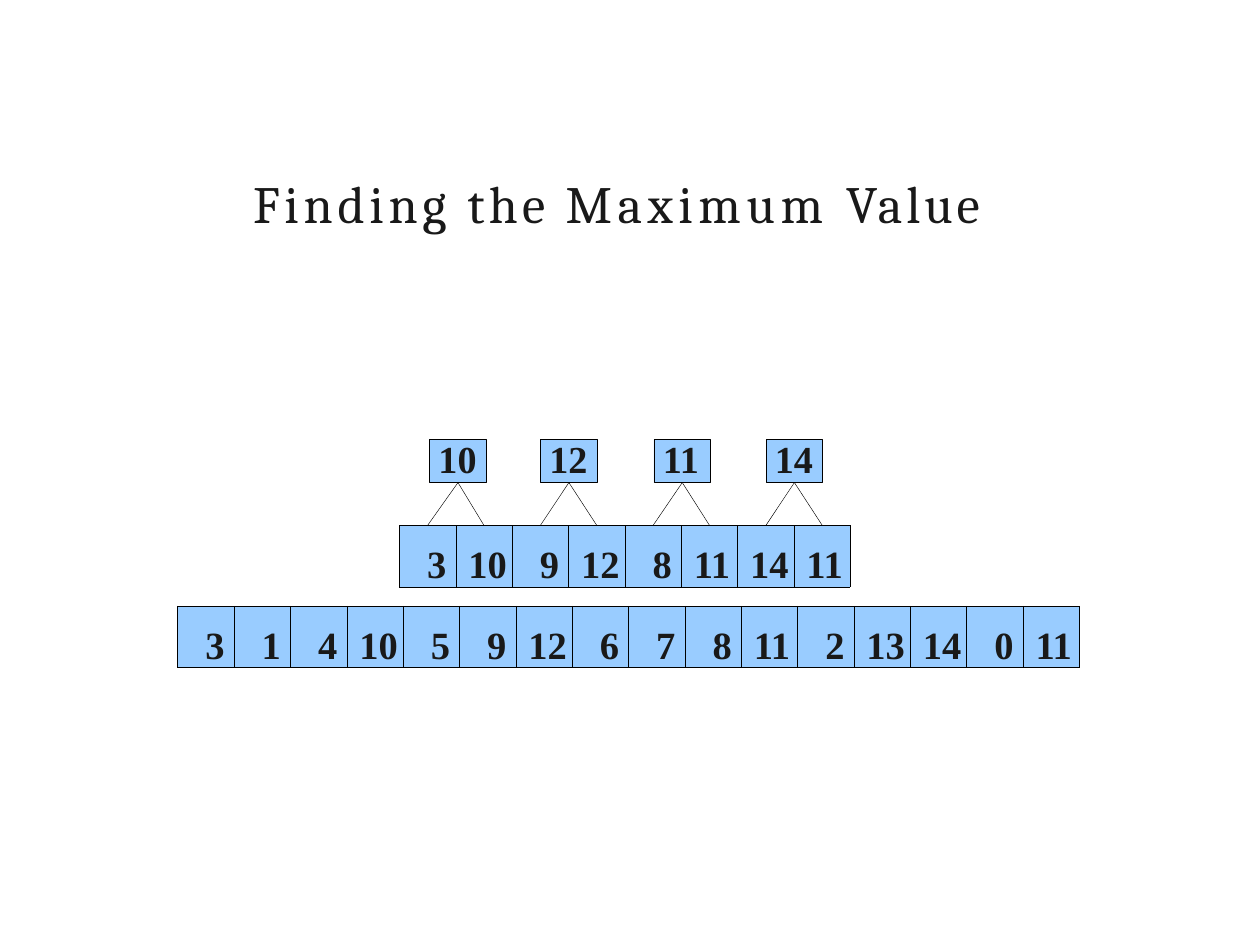
from lxml.etree import SubElement
from pptx import Presentation
from pptx.dml.color import RGBColor
from pptx.enum.shapes import MSO_CONNECTOR, MSO_SHAPE
from pptx.enum.text import MSO_ANCHOR, MSO_AUTO_SIZE, PP_ALIGN
from pptx.oxml import parse_xml
from pptx.oxml.ns import nsdecls, qn
from pptx.util import Inches, Pt

INK = RGBColor(0x19, 0x19, 0x19)
SKY = RGBColor(0x99, 0xCC, 0xFF)
BLACK = RGBColor(0x00, 0x00, 0x00)
CELL_WIDTH = 7.16 / 16
HAIRLINE = Pt(0.25)
TITLE_WORDS = [("Finding ", 270), ("the ", 250), ("Maximum ", 320), ("Value", 220)]
VALUES = [3, 1, 4, 10, 5, 9, 12, 6, 7, 8, 11, 2, 13, 14, 0, 11]
PAIR_LEFTS = [3.41, 4.29, 5.19, 6.08]


class TournamentSlide:
    """Draws arrays and tournament winners in one style on one slide."""

    def __init__(self, slide):
        self.slide = slide

    def prepare(self, frame):
        frame.margin_left = frame.margin_right = 0
        frame.margin_top = frame.margin_bottom = 0
        frame.vertical_anchor = MSO_ANCHOR.TOP
        frame.word_wrap = True

    def title(self, words):
        heading = self.slide.shapes.title
        heading.left, heading.top = Inches(2.01), Inches(1.35)
        heading.width, heading.height = Inches(5.97), Inches(0.51)
        frame = heading.text_frame
        self.prepare(frame)
        frame.margin_top = Inches(0.01)
        frame.auto_size = MSO_AUTO_SIZE.SHAPE_TO_FIT_TEXT
        paragraph = frame.paragraphs[0]
        paragraph.alignment = PP_ALIGN.LEFT
        for word, spacing in words:
            run = paragraph.add_run()
            run.text = word
            run.font.name, run.font.size = "Cambria", Pt(29.9)
            run.font.color.rgb = INK
            run.font._element.set("spc", str(spacing))

    def number(self, frame, value, indent, size, spacing):
        paragraph = frame.paragraphs[0]
        paragraph.text = str(value)
        paragraph.alignment = PP_ALIGN.LEFT
        paragraph.line_spacing = Pt(spacing)
        paragraph._p.get_or_add_pPr().set("marL", str(Inches(indent)))
        font = paragraph.runs[0].font
        font.name, font.size, font.bold = "Times New Roman", Pt(size), True
        font.color.rgb = INK

    def array(self, left, top, values):
        table = self.slide.shapes.add_table(
            1, len(values), Inches(left), Inches(top),
            Inches(CELL_WIDTH * len(values)), Inches(0.44)).table
        table.first_row = table.horz_banding = False
        for column, value in enumerate(values):
            table.columns[column].width = Inches(CELL_WIDTH)
            cell = table.cell(0, column)
            cell.margin_left = cell.margin_right = 0
            cell.margin_top = cell.margin_bottom = 0
            self.borders(cell)
            cell.fill.solid()
            cell.fill.fore_color.rgb = SKY
            indent = 0.22 if value < 10 else 0.1
            self.number(cell.text_frame, value, indent, 22, 35.1)

    def borders(self, cell):
        properties = cell._tc.get_or_add_tcPr()
        for side in ("lnL", "lnR", "lnT", "lnB"):
            properties.append(parse_xml(
                f'<a:{side} {nsdecls("a")} w="{HAIRLINE}"><a:solidFill>'
                f'<a:srgbClr val="{BLACK}"/></a:solidFill></a:{side}>'))

    def winner(self, left, top, value):
        box = self.slide.shapes.add_shape(
            MSO_SHAPE.RECTANGLE, Inches(left), Inches(top), Inches(0.45), Inches(0.34))
        box.shadow.inherit = False
        box.fill.solid()
        box.fill.fore_color.rgb = SKY
        box.line.color.rgb = BLACK
        box.line.width = HAIRLINE
        self.prepare(box.text_frame)
        self.number(box.text_frame, value, 0.07, 21.8, 23.9)
        return box

    def branch(self, box, x, y):
        line = self.slide.shapes.add_connector(
            MSO_CONNECTOR.STRAIGHT, box.left, box.top, Inches(x), Inches(y))
        line.begin_connect(box, 2)
        line.line.color.rgb = BLACK
        line.line.width = HAIRLINE
        SubElement(line._element.spPr, qn("a:effectLst"))


def main():
    presentation = Presentation()
    presentation.slide_width, presentation.slide_height = Inches(10), Inches(7.5)
    tournament = TournamentSlide(
        presentation.slides.add_slide(presentation.slide_layouts[5]))
    tournament.title(TITLE_WORDS)

    round_one = [max(pair) for pair in zip(VALUES[::2], VALUES[1::2])]
    round_two = [max(pair) for pair in zip(round_one[::2], round_one[1::2])]
    round_left, round_top = 3.17, 4.17
    tournament.array(1.41, 4.81, VALUES)
    tournament.array(round_left, round_top, round_one)
    for index, (left, value) in enumerate(zip(PAIR_LEFTS, round_two)):
        box = tournament.winner(left, 3.49, value)
        for column in (2 * index, 2 * index + 1):
            tournament.branch(box, round_left + CELL_WIDTH * (column + 0.5), round_top)

    presentation.save("out.pptx")


if __name__ == "__main__":
    main()
